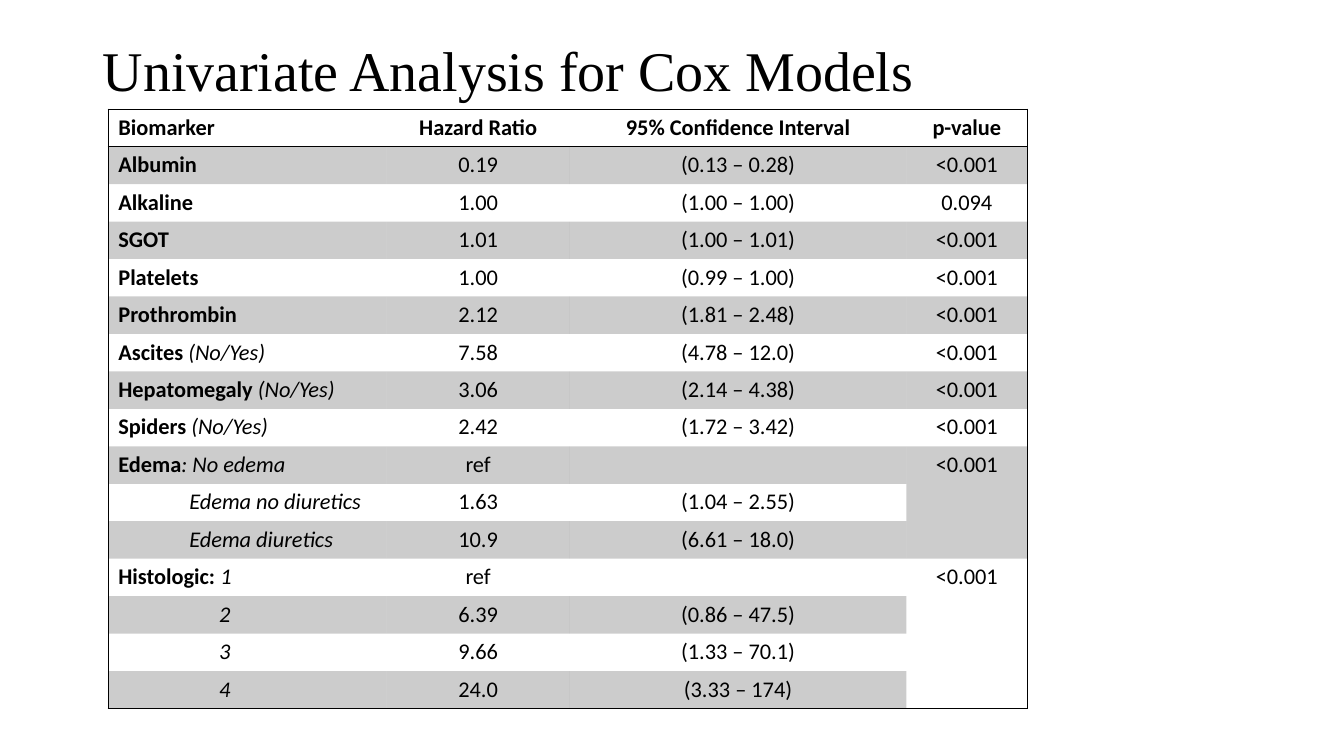
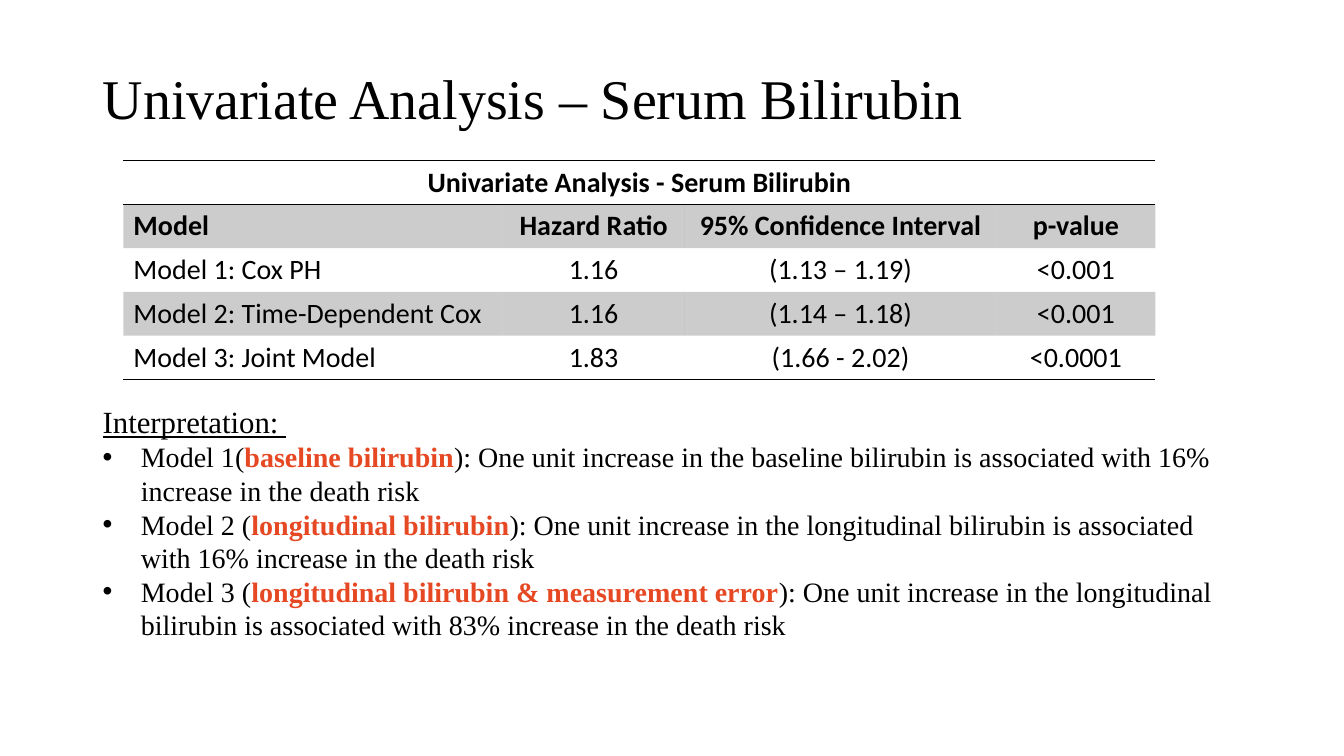
"""Builds two slides of univariate survival results, each with a striped table."""
from dataclasses import dataclass, field

from lxml import etree
from pptx import Presentation
from pptx.dml.color import RGBColor
from pptx.enum.text import MSO_ANCHOR, PP_ALIGN
from pptx.oxml.ns import qn
from pptx.util import Cm, Pt

CENTER = PP_ALIGN.CENTER
LEFT = PP_ALIGN.LEFT
MIDDLE = MSO_ANCHOR.MIDDLE
TOP = MSO_ANCHOR.TOP

BLACK = "000000"
ORANGE = "E64823"
STRIPE_ALPHA = "20000"
PLAIN_GRID = "{2D5ABB26-0587-4C30-8999-92F81FD0307C}"
SERIF = "Times New Roman"
SANS = "Calibri"
TEXT_LEFT = 2.34
TEXT_WIDTH = 29.21
BULLET_INDENT = 0.96

BOLD = {"bold": True}
ITALIC = {"italic": True}
SERIF_20 = {"name": SERIF, "size": Pt(20)}
SERIF_22 = {"name": SERIF, "size": Pt(22), "underline": True}
SERIF_40 = {"name": SERIF, "size": Pt(40)}


@dataclass
class Span:
    text: str
    style: dict = field(default_factory=dict)
    color: str = BLACK


@dataclass
class Entry:
    spans: list[Span]
    indent: float = 0


@dataclass
class Grid:
    left: float
    top: float
    height: float
    widths: list[float]
    size: int
    rows: list[list]
    merges: list[tuple]
    boxed: bool
    bold_rows: int
    bold_labels: bool


def rgb(value: str) -> RGBColor:
    return RGBColor.from_string(value)


def add_spans(para, spans: list[Span], base: dict) -> None:
    for span in spans:
        run = para.add_run()
        run.text = span.text
        for name, value in {**base, **span.style}.items():
            setattr(run.font, name, value)
        run.font.color.rgb = rgb(span.color)


def add_box(page, top: float, height: float, anchor):
    box = page.shapes.add_textbox(Cm(TEXT_LEFT), Cm(top), Cm(TEXT_WIDTH), Cm(height))
    frame = box.text_frame
    frame.word_wrap = True
    frame.vertical_anchor = anchor
    return frame


def add_title(page, text: str, top: float) -> None:
    para = add_box(page, top, 3.68, MIDDLE).paragraphs[0]
    para.line_spacing = 0.9
    add_spans(para, [Span(text)], SERIF_40)


def add_bullet(frame, spans: list[Span]) -> None:
    para = frame.add_paragraph()
    props = para._p.get_or_add_pPr()
    props.set("marL", str(Cm(BULLET_INDENT)))
    props.set("indent", str(-Cm(BULLET_INDENT)))
    etree.SubElement(props, qn("a:buFont"), typeface="Arial")
    etree.SubElement(props, qn("a:buChar"), char="•")
    add_spans(para, spans, SERIF_20)


def add_border(cell, side: str) -> None:
    line = etree.SubElement(cell._tc.get_or_add_tcPr(), qn(f"a:ln{side}"), w=str(Pt(1)))
    fill = etree.SubElement(line, qn("a:solidFill"))
    etree.SubElement(fill, qn("a:srgbClr"), val=BLACK)


def paint_cell(cell, striped: bool) -> None:
    if not striped:
        cell.fill.background()
        return
    cell.fill.solid()
    cell.fill.fore_color.rgb = rgb(BLACK)
    color = cell._tc.tcPr.find(f"{qn('a:solidFill')}/{qn('a:srgbClr')}")
    etree.SubElement(color, qn("a:alpha"), val=STRIPE_ALPHA)


def fill_cell(cell, value, base: dict, centered: bool) -> None:
    cell.margin_top = cell.margin_bottom = Cm(0.12)
    para = cell.text_frame.paragraphs[0]
    para.alignment = CENTER if centered else LEFT
    if not value:
        etree.SubElement(para._p, qn("a:endParaRPr"), sz=str(int(base["size"].pt * 100)))
        return
    entry = value if isinstance(value, Entry) else Entry([Span(value)])
    if entry.indent:
        para._p.get_or_add_pPr().set("marL", str(Cm(entry.indent)))
    add_spans(para, entry.spans, base)


def add_grid(page, grid: Grid) -> None:
    row_count, column_count = len(grid.rows), len(grid.widths)
    table = page.shapes.add_table(row_count, column_count, Cm(grid.left), Cm(grid.top),
                                  Cm(sum(grid.widths)), Cm(grid.height)).table
    table.first_row = table.horz_banding = False
    table._tbl.tblPr.find(qn("a:tableStyleId")).text = PLAIN_GRID
    for column, width in zip(table.columns, grid.widths):
        column.width = Cm(width)
    for first, last in grid.merges:
        table.cell(*first).merge(table.cell(*last))
    for r, values in enumerate(grid.rows):
        table.rows[r].height = Cm(grid.height) // row_count
        for c, value in enumerate(values):
            cell = table.cell(r, c)
            bold = r < grid.bold_rows or (c == 0 and grid.bold_labels)
            base = {"name": SANS, "size": Pt(grid.size), "bold": bold}
            fill_cell(cell, value, base, c > 0 or cell.span_width > 1)
            sides = {
                "L": grid.boxed and c == 0,
                "R": grid.boxed and c + cell.span_width == column_count,
                "T": r == 0,
                "B": r == 0 or r + cell.span_height == row_count,
            }
            for side, drawn in sides.items():
                if drawn:
                    add_border(cell, side)
            paint_cell(cell, r % 2 == 1 and not cell.is_spanned)


def qualified(label: str, detail: str) -> Entry:
    return Entry([Span(label), Span(detail, {"bold": False, "italic": True})])


def level(text: str, indent: float) -> Entry:
    return Entry([Span(text, {"bold": False, "italic": True})], indent)


BIOMARKERS = Grid(
    left=2.73, top=2.75, height=15.11, widths=[7.01, 4.62, 8.48, 3.05], size=16,
    rows=[
        ["Biomarker", "Hazard Ratio", "95% Confidence Interval", "p-value"],
        ["Albumin", "0.19", "(0.13 – 0.28)", "<0.001"],
        ["Alkaline", "1.00", "(1.00 – 1.00)", "0.094"],
        ["SGOT", "1.01", "(1.00 – 1.01)", "<0.001"],
        ["Platelets", "1.00", "(0.99 – 1.00)", "<0.001"],
        ["Prothrombin", "2.12", "(1.81 – 2.48)", "<0.001"],
        [qualified("Ascites ", "(No/Yes)"), "7.58", "(4.78 – 12.0)", "<0.001"],
        [qualified("Hepatomegaly ", "(No/Yes)"), "3.06", "(2.14 – 4.38)", "<0.001"],
        [qualified("Spiders ", "(No/Yes)"), "2.42", "(1.72 – 3.42)", "<0.001"],
        [qualified("Edema", ": No edema"), "ref", "", "<0.001"],
        [level("Edema no diuretics", 1.79), "1.63", "(1.04 – 2.55)", ""],
        [level("Edema diuretics", 1.79), "10.9", "(6.61 – 18.0)", ""],
        [qualified("Histologic: ", "1"), "ref", "", "<0.001"],
        [level("2", 2.54), "6.39", "(0.86 – 47.5)", ""],
        [level("3", 2.54), "9.66", "(1.33 – 70.1)", ""],
        [level("4", 2.54), "24.0", "(3.33 – 174)", ""],
    ],
    merges=[((9, 3), (11, 3)), ((12, 3), (15, 3))],
    boxed=True, bold_rows=1, bold_labels=True,
)

BILIRUBIN = Grid(
    left=3.11, top=4.05, height=5.51, widths=[9.55, 4.6, 7.85, 4.01], size=20,
    rows=[
        ["Univariate Analysis - Serum Bilirubin", "", "", ""],
        ["Model", "Hazard Ratio", "95% Confidence Interval", "p-value"],
        ["Model 1: Cox PH", "1.16", "(1.13 – 1.19)", "<0.001"],
        ["Model 2: Time-Dependent Cox", "1.16", "(1.14 – 1.18)", "<0.001"],
        ["Model 3: Joint Model", "1.83", "(1.66 - 2.02)", "<0.0001"],
    ],
    merges=[((0, 0), (0, 3))],
    boxed=False, bold_rows=2, bold_labels=False,
)

INTERPRETATIONS = [
    ("Model 1(", "baseline bilirubin", "baseline", 16),
    ("Model 2 (", "longitudinal bilirubin", "longitudinal", 16),
    ("Model 3 (", "longitudinal bilirubin & measurement error", "longitudinal", 83),
]


def add_interpretation(page) -> None:
    frame = add_box(page, 10.03, 6.32, TOP)
    add_spans(frame.paragraphs[0], [Span("Interpretation: ")], SERIF_22)
    for model, covariate, kind, percent in INTERPRETATIONS:
        effect = (f"): One unit increase in the {kind} bilirubin is associated "
                  f"with {percent}% increase in the death risk")
        add_bullet(frame, [Span(model), Span(covariate, BOLD, ORANGE), Span(effect)])


def main() -> None:
    deck = Presentation()
    deck.slide_width, deck.slide_height = Cm(33.87), Cm(19.05)
    blank = deck.slide_layouts[6]

    page = deck.slides.add_slide(blank)
    add_grid(page, BIOMARKERS)
    add_title(page, "Univariate Analysis for Cox Models", 0)

    page = deck.slides.add_slide(blank)
    add_title(page, "Univariate Analysis – Serum Bilirubin", 0.71)
    add_interpretation(page)
    add_grid(page, BILIRUBIN)

    deck.save("out.pptx")


if __name__ == "__main__":
    main()
